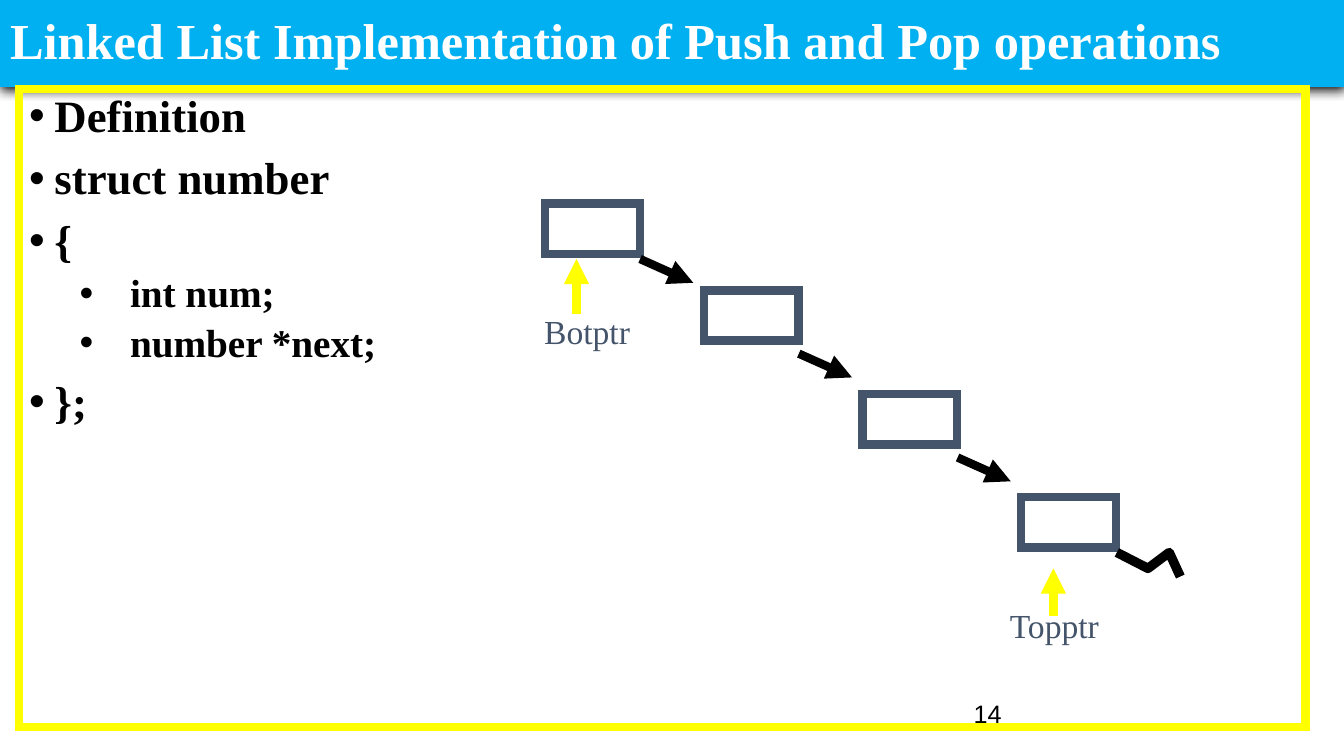
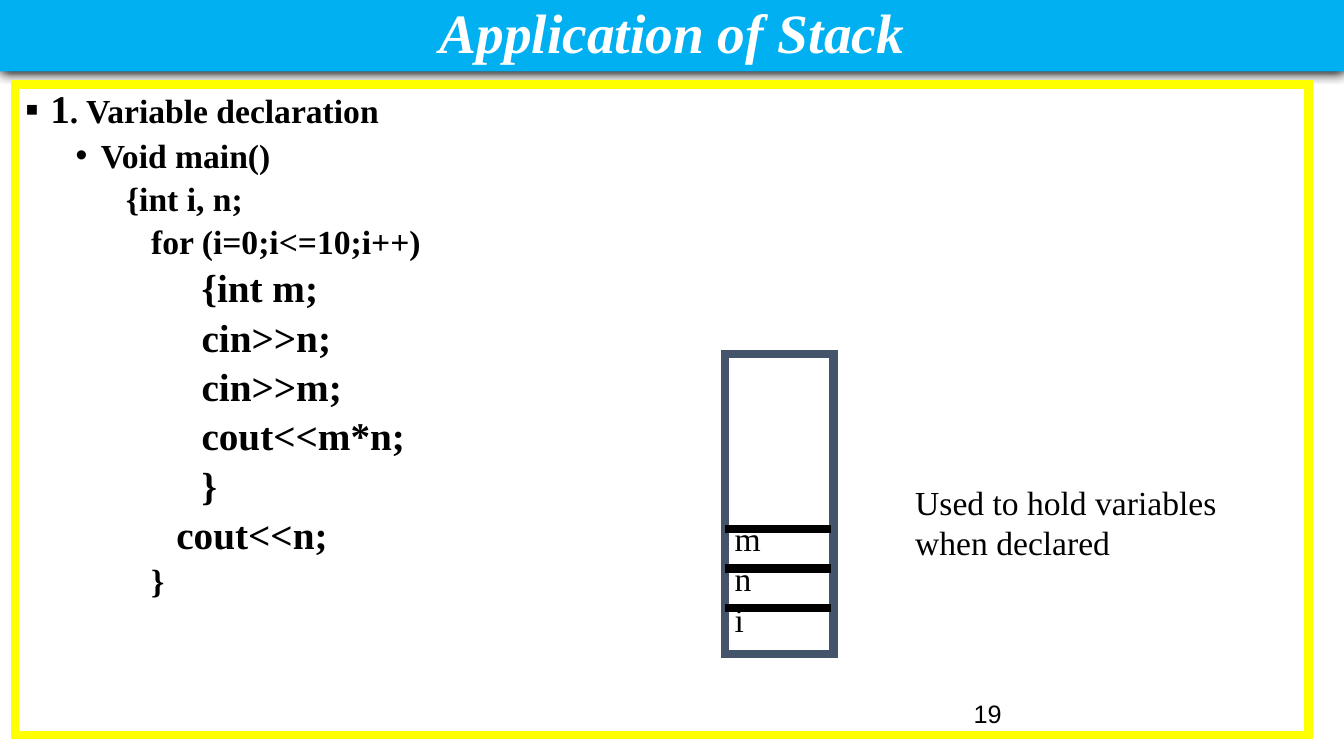
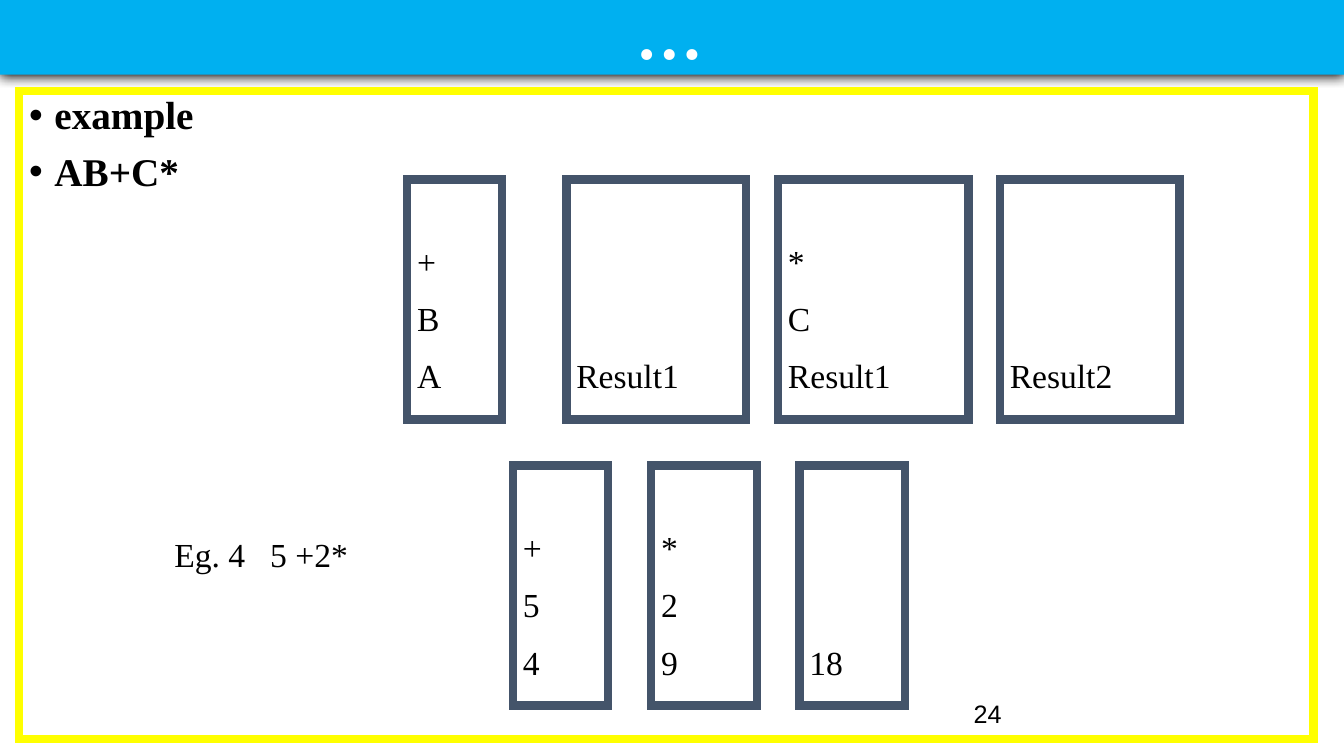
from dataclasses import dataclass

from pptx import Presentation
from pptx import util as u
from pptx.dml import color
from pptx.enum import shapes, text
from pptx.oxml import ns, xmlchemy


@dataclass(frozen=True)
class Theme:
    band: str = "00B0F0"
    frame: str = "FFFF00"
    node: str = "44546A"
    ink: str = "000000"
    paper: str = "FFFFFF"
    serif: str = "Times New Roman"
    sans: str = "Arial"
    title: float = 36
    large: float = 32
    medium: float = 28
    normal: float = 24
    page: float = 18
    border: float = 6


THEME = Theme()


def rgb(value):
    return color.RGBColor.from_string(value)


def add_xml(parent, tag, **attributes):
    element = xmlchemy.OxmlElement(tag)
    for name, value in attributes.items():
        element.set(name, str(value))
    parent.append(element)
    return element


def write(para, words, size=THEME.normal, font=THEME.serif, ink=THEME.ink,
          bold=False, italic=False):
    span = para.add_run()
    span.text = words
    span.font.size = u.Pt(size)
    span.font.name = font
    span.font.color.rgb = rgb(ink)
    span.font.bold = bold
    span.font.italic = italic


def item(words, level=0, left=18, hang=18, size=THEME.normal, bullet="•"):
    runs = words if isinstance(words, list) else [(words, size)]
    return runs, level, left, hang, bullet


class Slides:
    def __init__(self, theme):
        self.theme = theme
        self.deck = Presentation()
        self.deck.slide_width = u.Pt(960)
        self.deck.slide_height = u.Pt(540)
        self.slide = None

    def start(self, number):
        self.slide = self.deck.slides.add_slide(self.deck.slide_layouts[1])
        self.label(number, 688.3, 491.8, 224, 36, middle=True,
                   size=self.theme.page, font=self.theme.sans)

    def place(self, shape, left, top, width, height):
        shape.left, shape.top = u.Pt(left), u.Pt(top)
        shape.width, shape.height = u.Pt(width), u.Pt(height)

    def outline(self, shape, ink):
        shape.fill.background()
        shape.line.color.rgb = rgb(ink)
        shape.line.width = u.Pt(self.theme.border)
        add_xml(shape.line._get_or_add_ln(), "a:miter", lim=800000)

    def title(self, words, height, size, centred=True):
        band = self.slide.shapes.title
        self.place(band, 0, 0, 960, height)
        band.fill.solid()
        band.fill.fore_color.rgb = rgb(self.theme.band)
        effects = add_xml(band._element.spPr, "a:effectLst")
        shadow = add_xml(effects, "a:outerShdw", blurRad=u.Pt(8.5), dist=u.Pt(1),
                         dir=5400000, algn="t", rotWithShape=0)
        add_xml(shadow, "a:srgbClr", val=self.theme.ink)
        frame = band.text_frame
        frame.auto_size = text.MSO_AUTO_SIZE.NONE
        frame.vertical_anchor = text.MSO_ANCHOR.MIDDLE
        para = frame.paragraphs[0]
        para.alignment = text.PP_ALIGN.CENTER if centred else text.PP_ALIGN.LEFT
        para.line_spacing = 0.9
        write(para, words, size=size, ink=self.theme.paper, bold=True, italic=centred)

    def body(self, items, left, top, width, height):
        box = self.slide.placeholders[1]
        self.place(box, left, top, width, height)
        self.outline(box, self.theme.frame)
        frame = box.text_frame
        frame.auto_size = text.MSO_AUTO_SIZE.NONE
        frame.vertical_anchor = text.MSO_ANCHOR.TOP
        for index, (runs, level, indent, hang, bullet) in enumerate(items):
            para = frame.add_paragraph() if index else frame.paragraphs[0]
            para.level = level
            para.line_spacing = 0.9
            para.space_before = u.Pt(5 if level else 10)
            properties = para._p.get_or_add_pPr()
            properties.set("marL", str(u.Pt(indent)))
            properties.set("indent", str(-u.Pt(hang if bullet else 0)))
            if bullet:
                add_xml(properties, "a:buFont", typeface=self.theme.sans)
                add_xml(properties, "a:buChar", char=bullet)
            else:
                add_xml(properties, "a:buNone")
            for words, size in runs:
                write(para, words, size=size, bold=True)

    def box(self, left, top, width, height, lines=(), gap=0, bottom=3.6):
        box = self.slide.shapes.add_shape(
            shapes.MSO_SHAPE.RECTANGLE, u.Pt(left), u.Pt(top), u.Pt(width), u.Pt(height))
        box.shadow.inherit = False
        self.outline(box, self.theme.node)
        frame = box.text_frame
        frame.word_wrap = True
        frame.vertical_anchor = text.MSO_ANCHOR.BOTTOM
        frame.margin_bottom = u.Pt(bottom)
        for index, words in enumerate(lines):
            para = frame.add_paragraph() if index else frame.paragraphs[0]
            para.alignment = text.PP_ALIGN.LEFT
            para.space_before = u.Pt(gap if index else 0)
            write(para, words)

    def label(self, words, left, top, width, height, middle=False, tab=None, **style):
        box = self.slide.shapes.add_textbox(
            u.Pt(left), u.Pt(top), u.Pt(width), u.Pt(height))
        frame = box.text_frame
        frame.word_wrap = True
        frame.vertical_anchor = text.MSO_ANCHOR.MIDDLE if middle else text.MSO_ANCHOR.TOP
        para = frame.paragraphs[0]
        if tab:
            stops = add_xml(para._p.get_or_add_pPr(), "a:tabLst")
            add_xml(stops, "a:tab", pos=u.Pt(tab), algn="l")
        write(para, words, **style)

    def line(self, start, end, ink=THEME.ink, arrow=False):
        line = self.slide.shapes.add_connector(
            shapes.MSO_CONNECTOR.STRAIGHT, *(u.Pt(value) for value in start + end))
        line.line.color.rgb = rgb(ink)
        line.line.width = u.Pt(self.theme.border)
        if arrow:
            add_xml(line.line._get_or_add_ln(), "a:tailEnd", type="triangle")
        add_xml(line._element.find(ns.qn("p:spPr")), "a:effectLst")

    def zigzag(self, points, width):
        points = [(u.Pt(x), u.Pt(y)) for x, y in points]
        builder = self.slide.shapes.build_freeform(*points[0])
        builder.add_line_segments(points[1:], close=False)
        shape = builder.convert_to_shape()
        shape.shadow.inherit = False
        shape.fill.background()
        shape.line.color.rgb = rgb(self.theme.ink)
        shape.line.width = u.Pt(width)


def linked_list(slides):
    theme = slides.theme
    slides.start("14")
    slides.title("Linked List Implementation of Push and Pop operations",
                 62, theme.title, centred=False)
    top_items = [item(words, size=theme.large)
                 for words in ("Definition", "struct number", "{", "};")]
    fields = [item(words, level=1, left=72, hang=36, size=theme.medium)
              for words in ("int num;", "number *next;")]
    slides.body(top_items[:3] + fields + top_items[3:], 13.7, 63.4, 918.7, 455.8)
    for index, top in enumerate((145.4, 207.4, 281.5, 355)):
        slides.box(389.5 + 113.3 * index, top, 67.7, 36)
    for index, top in enumerate((185, 252.6, 326.8)):
        left = 457.2 + 113.4 * index
        slides.line((left, top), (left + 38, top + 17), arrow=True)
    slides.zigzag([(797.8, 394.6), (820, 406), (835.2, 394.6), (843.1, 411.8)], 6.75)
    pointers = [("Botptr", 381.6, 218.9, 411.8, 224.6, 185),
                ("Topptr", 714.2, 428.4, 752.4, 440, 406)]
    for words, left, top, x, tail, head in pointers:
        slides.label(words, left, top, 113.8, 36, ink=theme.node)
        slides.line((x, tail), (x, head), ink=theme.frame, arrow=True)


def variable_stack(slides):
    theme = slides.theme
    slides.start("19")
    slides.title("Application of Stack", 51, 39.6)
    code = [("{int i, n;", 2, 72, theme.normal),
            ("for (i=0;i<=10;i++)", 2, 90, theme.normal),
            ("{int m;", 3, 126, theme.medium),
            ("cin>>n;", 3, 126, theme.medium),
            ("cin>>m;", 3, 126, theme.medium),
            ("cout<<m*n;", 3, 126, theme.medium),
            ("}", 3, 126, theme.medium),
            ("cout<<n;", 3, 108, theme.medium),
            ("}", 2, 90, theme.normal)]
    items = [item([("1", theme.medium), (". Variable declaration", theme.normal)], bullet="▪"),
             item("Void main()", level=1, left=54)]
    items += [item(words, level, left, size=size, bullet=None)
              for words, level, left, size in code]
    slides.body(items, 10.8, 60.5, 923.8, 464.4)
    slides.box(517.7, 252.7, 77.8, 214.6, lines="mni", bottom=11)
    for index in range(3):
        top = 378 + 28.1 * index
        slides.line((517.7, top), (593.3, top))
    slides.label("Used to hold variables when declared", 646.6, 340.6, 242, 65.5)


def postfix_stacks(slides):
    theme = slides.theme
    slides.start("24")
    slides.title("…", 53.3, 48)
    slides.body([item(words, size=theme.medium) for words in ("example", "AB+C*")],
                13.7, 64.8, 924.5, 463)
    slides.label("Eg. 4\t5 +2*", 117.4, 378, 218.9, 36, tab=68.5)
    rows = [(128.2, [(290.9, 67.7, ["+", "B", "A"]),
                     (404.6, 128.2, ["Result1"]),
                     (555.8, 136, ["*", "C", "Result1"]),
                     (714.2, 128.2, ["Result2"])]),
            (332.6, [(366.5, 67.7, ["+", "5", "4"]),
                     (465.1, 75.6, ["*", "2", "9"]),
                     (571, 75.6, ["18"])])]
    for top, stacks in rows:
        for left, width, lines in stacks:
            slides.box(left, top, width, 171.4, lines, gap=12, bottom=17)


def main():
    slides = Slides(THEME)
    linked_list(slides)
    variable_stack(slides)
    postfix_stacks(slides)
    slides.deck.save("out.pptx")


if __name__ == "__main__":
    main()
